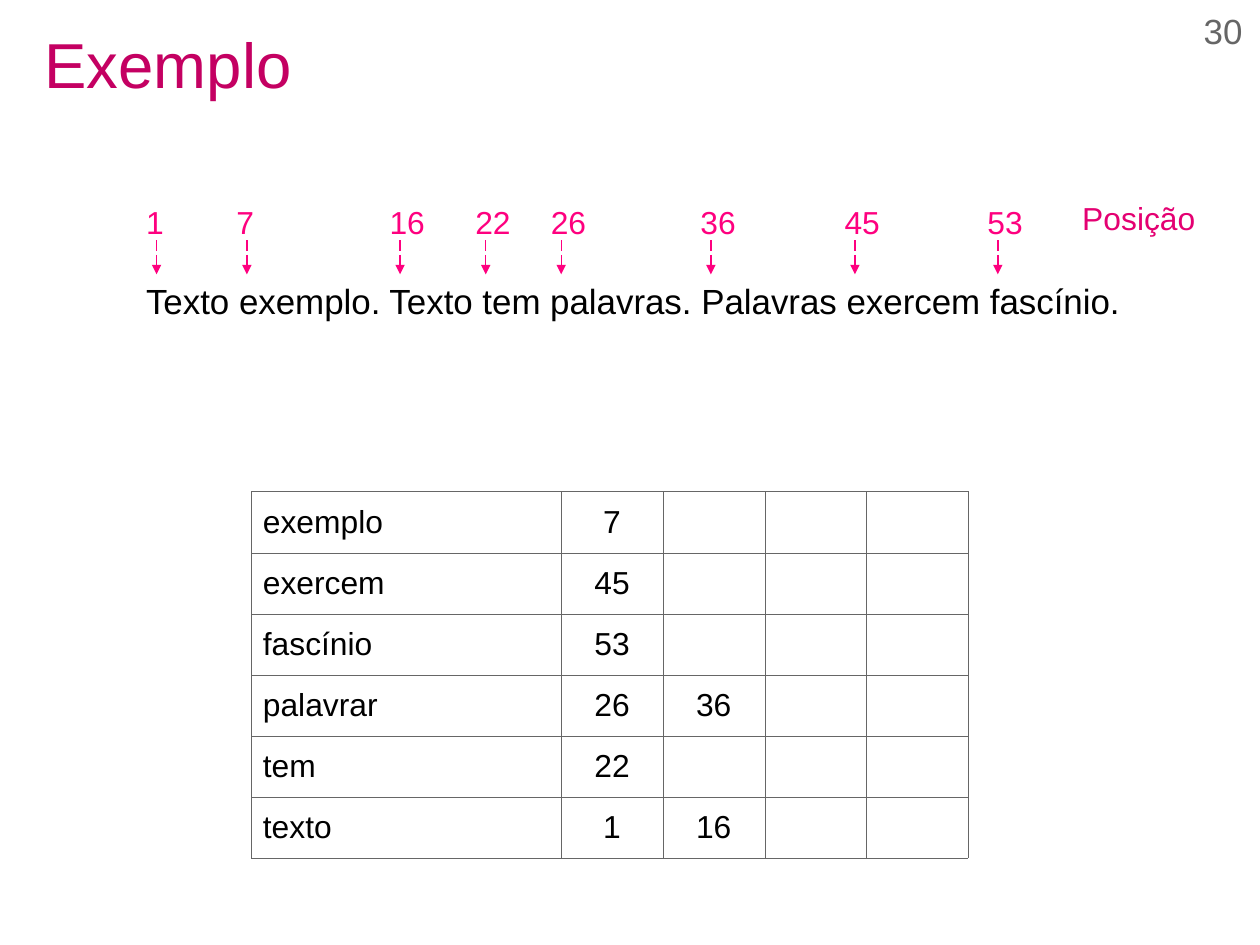
import pptx
import pptx.util
import pptx.dml.color
import pptx.enum.dml
import pptx.enum.shapes
import pptx.enum.text
import pptx.oxml
import pptx.oxml.ns
from dataclasses import dataclass

Inches = pptx.util.Inches
Pt = pptx.util.Pt
ALIGN = pptx.enum.text.PP_ALIGN
MIDDLE = pptx.enum.text.MSO_ANCHOR.MIDDLE
AUTO = pptx.enum.text.MSO_AUTO_SIZE
NO_MARGINS = {"margin_left": 0, "margin_right": 0, "margin_top": 0, "margin_bottom": 0}


@dataclass(frozen=True)
class Theme:
    font: str = "Arial"
    title: str = "C40062"
    marker: str = "FE007F"
    caption: str = "E40072"
    ink: str = "000000"
    grey: str = "666666"
    title_size: int = 40
    sentence_size: int = 22
    label_size: int = 20
    arrow_width: float = 0.85
    border_width: float = 0.06


THEME = Theme()
WORD_STARTS = {"1": 1.18, "7": 1.97, "16": 3.31, "22": 4.06,
               "26": 4.72, "36": 6.03, "45": 7.29, "53": 8.54}
INDEX = {"exemplo": [7], "exercem": [45], "fascínio": [53],
         "palavrar": [26, 36], "tem": [22], "texto": [1, 16]}
POSITION_COLUMNS = 4
POSITION_WIDTH = 0.89


def rgb(value):
    return pptx.dml.color.RGBColor.from_string(value)


def set_all(target, values):
    for name, value in values.items():
        setattr(target, name, value)


def write(frame, text, size, color, align=ALIGN.LEFT):
    para = frame.paragraphs[0]
    para.alignment = align
    span = para.add_run()
    span.text = text
    set_all(span.font, {"name": THEME.font, "size": Pt(size)})
    span.font.color.rgb = rgb(color)


def add_text(page, box, text, size, color):
    frame = page.shapes.add_textbox(*map(Inches, box)).text_frame
    set_all(frame, {"word_wrap": False, "auto_size": AUTO.SHAPE_TO_FIT_TEXT})
    write(frame, text, size, color)


def add_title(page, box, text):
    title = page.shapes.title
    set_all(title, dict(zip(("left", "top", "width", "height"), map(Inches, box))))
    frame = title.text_frame
    set_all(frame, {**NO_MARGINS, "vertical_anchor": MIDDLE, "auto_size": AUTO.NONE})
    write(frame, text, THEME.title_size, THEME.title)
    frame.paragraphs[0].line_spacing = 0.9


def add_page_number(page, box, number):
    frame = page.shapes.add_textbox(*map(Inches, box)).text_frame
    set_all(frame, {**NO_MARGINS, "word_wrap": True})
    write(frame, number, THEME.sentence_size, THEME.grey, ALIGN.RIGHT)


def add_arrow(page, x, top, bottom):
    arrow = page.shapes.add_connector(
        pptx.enum.shapes.MSO_CONNECTOR.STRAIGHT,
        Inches(x), Inches(top), Inches(x), Inches(bottom))
    set_all(arrow.line, {"width": Pt(THEME.arrow_width),
                         "dash_style": pptx.enum.dml.MSO_LINE.LONG_DASH})
    arrow.line.color.rgb = rgb(THEME.marker)
    qn = pptx.oxml.ns.qn
    properties = arrow.element.spPr
    line = properties.find(qn("a:ln"))
    line.append(line.makeelement(qn("a:tailEnd"), {"type": "triangle"}))
    properties.append(properties.makeelement(qn("a:effectLst")))


def add_marked_sentence(page, box, sentence):
    """Draw the sentence with a numbered arrow above the start of each word."""
    left, top, width, height = box
    sentence_top = top + 0.68
    add_text(page, (left, sentence_top, width, height - 0.68), sentence,
             THEME.sentence_size, THEME.ink)
    for number, start in WORD_STARTS.items():
        label_width = 0.19 + 0.16 * len(number)
        add_text(page, (start, top, label_width, 0.41), number,
                 THEME.label_size, THEME.marker)
        add_arrow(page, start + 0.19, top + 0.38, sentence_top)
    add_text(page, (left + 8.19, top - 0.03, 1.19, 0.41), "Posição",
             THEME.label_size, THEME.caption)


def add_borders(cell):
    properties = cell._tc.get_or_add_tcPr()
    for side in ("lnL", "lnR", "lnT", "lnB"):
        properties.append(pptx.oxml.parse_xml(
            f'<a:{side} {pptx.oxml.ns.nsdecls("a")} w="{int(Pt(THEME.border_width))}">'
            f'<a:solidFill><a:srgbClr val="{THEME.grey}"/></a:solidFill></a:{side}>'))


def add_index_table(page, box):
    """Draw one row per word, followed by the positions where it occurs."""
    left, top, width, height = box
    table = page.shapes.add_table(
        len(INDEX), POSITION_COLUMNS + 1, *map(Inches, box)).table
    set_all(table, {"first_row": False, "horz_banding": False})
    word_width = width - POSITION_COLUMNS * POSITION_WIDTH
    for number, column in enumerate(table.columns):
        column.width = Inches(POSITION_WIDTH if number else word_width)
    for row, (word, positions) in zip(table.rows, INDEX.items()):
        row.height = Inches(height / len(INDEX))
        texts = [word, *map(str, positions)]
        for number, cell in enumerate(row.cells):
            add_borders(cell)
            cell.fill.background()
            cell.vertical_anchor = MIDDLE
            if number < len(texts):
                write(cell.text_frame, texts[number], THEME.label_size,
                      THEME.ink, ALIGN.CENTER if number else ALIGN.LEFT)


def main():
    deck = pptx.Presentation()
    deck.slide_width = pptx.util.Cm(28)
    deck.slide_height = pptx.util.Cm(21)
    page = deck.slides.add_slide(deck.slide_layouts.get_by_name("Title Only"))
    add_title(page, (0.39, 0.2, 10.24, 0.79), "Exemplo")
    add_marked_sentence(
        page, (1.18, 1.72, 8.74, 1.19),
        "Texto exemplo. Texto tem palavras. Palavras exercem fascínio.")
    add_index_table(page, (2.2, 4.3, 6.27, 3.21))
    add_page_number(page, (8.14, 0.08, 2.73, 0.46), "30")
    deck.save("out.pptx")


if __name__ == "__main__":
    main()
